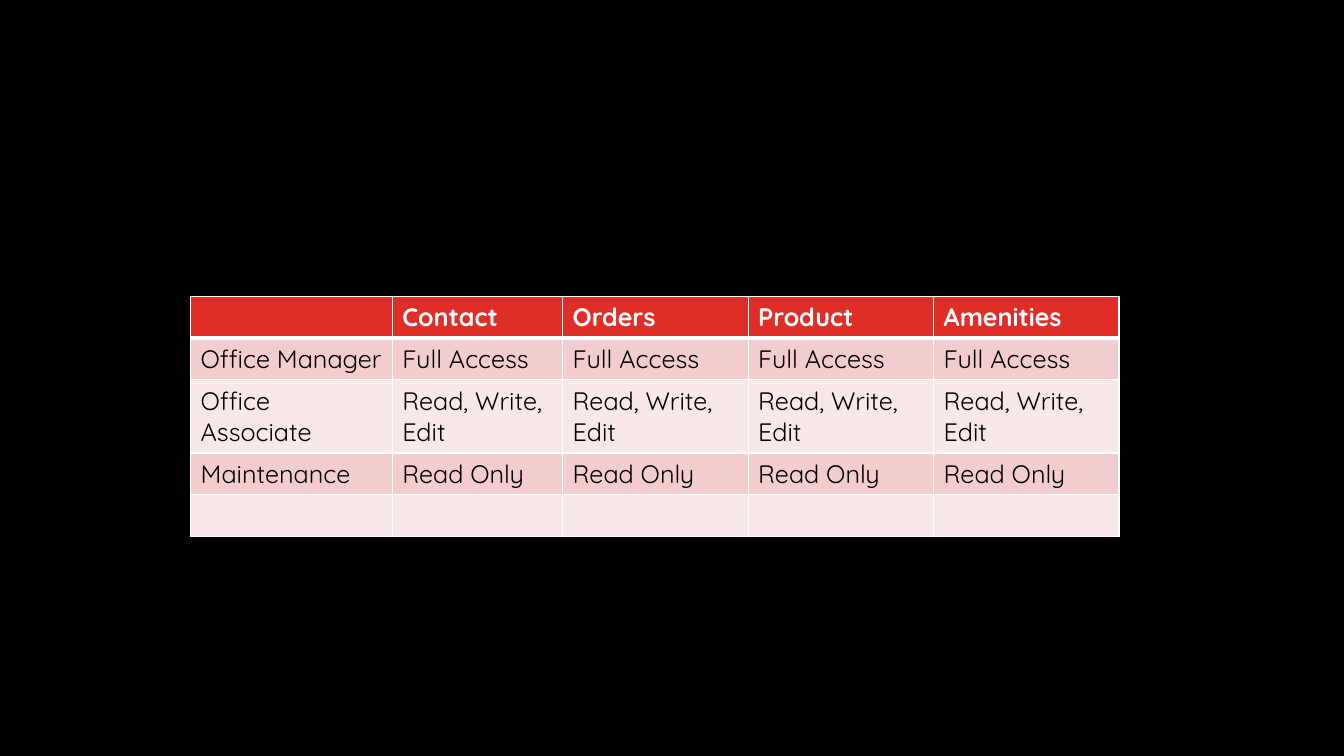
import lxml.etree
import pptx
import pptx.dml.color
import pptx.oxml.ns
import pptx.util

SLIDE_WIDTH, SLIDE_HEIGHT = 13.33, 7.5
COLUMN_WIDTHS = [2, 1.69, 1.84, 1.84, 1.84]
ROW_HEIGHT = 0.41
WHITE, BLACK, RED = "FFFFFF", "000000", "DF2E28"
BANDS = ["F9E8E8", "F3CDCD"]
HEADER = ["", "Contact", "Orders", "Product", "Amenities"]
ACCESS_BY_ROLE = {
    "Office Manager": "Full Access",
    "Office Associate": "Read, Write, Edit",
    "Maintenance": "Read Only",
    "": "",
}


def paint(fill, color):
    fill.solid()
    fill.fore_color.rgb = pptx.dml.color.RGBColor.from_string(color)


def add_borders(cell, top, bottom):
    """Draw white cell borders; top and bottom are widths in points."""
    properties = cell._tc.get_or_add_tcPr()
    for side, width in {"L": 1, "R": 1, "T": top, "B": bottom}.items():
        line = lxml.etree.SubElement(
            properties, pptx.oxml.ns.qn(f"a:ln{side}"), w=str(pptx.util.Pt(width)))
        solid = lxml.etree.SubElement(line, pptx.oxml.ns.qn("a:solidFill"))
        lxml.etree.SubElement(solid, pptx.oxml.ns.qn("a:srgbClr"), val=WHITE)


def format_cell(cell, text, row_index):
    is_header = row_index == 0
    add_borders(cell, top=3 if row_index == 1 else 1, bottom=3 if is_header else 1)
    paint(cell.fill, RED if is_header else BANDS[row_index % 2])
    cell.text = text
    font = cell.text_frame.paragraphs[0].font
    font.name = "Quicksand"
    font.size = pptx.util.Pt(18)
    font.bold = is_header
    paint(font.fill, WHITE if is_header else BLACK)


def add_access_table(slide, left, top):
    rows = [HEADER]
    for role, access in ACCESS_BY_ROLE.items():
        rows.append([role] + [access] * (len(HEADER) - 1))
    box = [left, top, sum(COLUMN_WIDTHS), ROW_HEIGHT * len(rows)]
    table = slide.shapes.add_table(
        len(rows), len(HEADER), *map(pptx.util.Inches, box)).table
    for column, width in zip(table.columns, COLUMN_WIDTHS):
        column.width = pptx.util.Inches(width)
    for row_index, texts in enumerate(rows):
        for column_index, text in enumerate(texts):
            format_cell(table.cell(row_index, column_index), text, row_index)


def main():
    presentation = pptx.Presentation()
    presentation.slide_width = pptx.util.Inches(SLIDE_WIDTH)
    presentation.slide_height = pptx.util.Inches(SLIDE_HEIGHT)
    slide = presentation.slides.add_slide(presentation.slide_layouts[6])
    paint(slide.background.fill, BLACK)
    add_access_table(slide, left=1.89, top=2.94)
    presentation.save("out.pptx")


if __name__ == "__main__":
    main()
